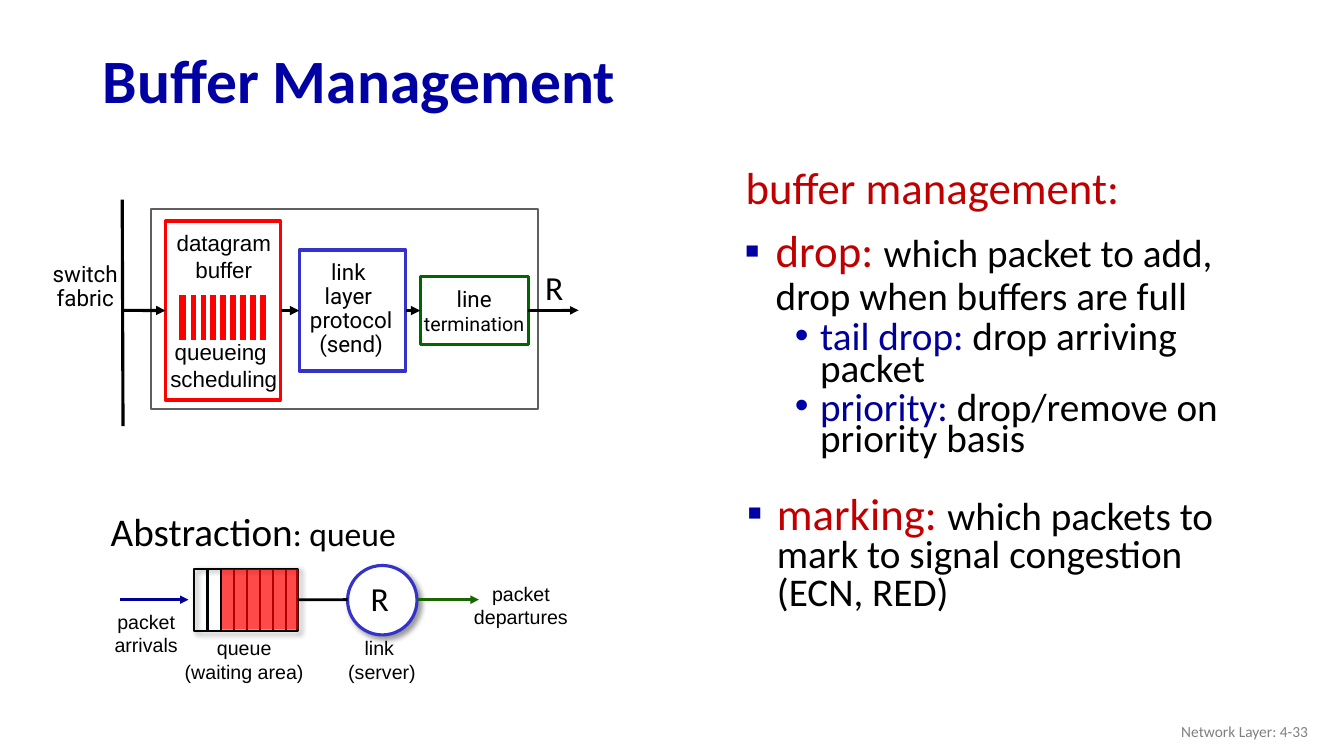
"""Build the buffer management slide with its port diagram and queue abstraction."""
from dataclasses import dataclass

from lxml.etree import SubElement
from pptx import Presentation
from pptx.dml.color import RGBColor
from pptx.enum.shapes import MSO_CONNECTOR as Connector, MSO_SHAPE as Preset
from pptx.enum.text import MSO_ANCHOR as Anchor, PP_ALIGN as Align
from pptx.oxml.ns import qn
from pptx.util import Cm, Pt

COLOURS = {
    "title": "0000A3", "term": "C00000", "text": "000000", "bullet": "0000A8",
    "navy": "000099", "blue": "3333CC", "red": "FF0000", "white": "FFFFFF",
    "frame": "5F5F5F", "green": "006600", "departure": "186600", "footer": "808080",
}
LEFT, RIGHT = 1, 3


@dataclass
class Box:
    name: str
    area: tuple
    line: str = ""
    weight: float = 2.25
    fill: str = "white"
    preset: Preset = Preset.RECTANGLE
    opacity: int = 100
    shadow: bool = False


@dataclass
class Link:
    start: tuple
    end: tuple
    colour: str = "text"
    weight: float = 2.25
    arrow: bool = False
    source: str = ""
    target: str = ""


@dataclass
class Span:
    text: str
    size: float
    font: str = "Calibri"
    colour: str = "text"
    bold: bool = False


@dataclass
class Para:
    spans: list
    align: Align = Align.LEFT
    spacing: object = None
    before: float = 0
    margin: float = 0
    indent: float = 0
    bullet: str = ""
    bullet_colour: str = "title"


@dataclass
class Label:
    area: tuple
    paras: list
    anchor: Anchor = Anchor.TOP
    wrap: bool = False


def centred(*lines: str, size: float = 14, font: str = "Arial", spacing: object = None) -> list:
    return [Para([Span(line, size, font)], Align.CENTER, spacing) for line in lines]


def colour_of(name: str) -> RGBColor:
    return RGBColor.from_string(COLOURS[name])


def add_span(para, text: str, *, size: float, font: str, colour: str, bold: bool) -> None:
    span = para.add_run()
    span.text = text
    span.font.size, span.font.name, span.font.bold = Pt(size), font, bold
    span.font.color.rgb = colour_of(colour)


def add_bullet(properties, mark: str, colour: str) -> None:
    SubElement(SubElement(properties, qn("a:buClr")), qn("a:srgbClr"), val=COLOURS[colour])
    SubElement(properties, qn("a:buFont"), typeface="Arial")
    SubElement(properties, qn("a:buChar"), char=mark)


def draw_label(page, label: Label) -> None:
    frame = page.shapes.add_textbox(*map(Cm, label.area)).text_frame
    frame.word_wrap, frame.vertical_anchor = label.wrap, label.anchor
    for index, item in enumerate(label.paras):
        para = frame.add_paragraph() if index else frame.paragraphs[0]
        para.alignment, para.space_before = item.align, Pt(item.before)
        para.line_spacing = item.spacing
        properties = para._p.get_or_add_pPr()
        properties.set("marL", str(Cm(item.margin)))
        properties.set("indent", str(Cm(item.indent)))
        if item.bullet:
            add_bullet(properties, item.bullet, item.bullet_colour)
        for span in item.spans:
            add_span(para, span.text, size=span.size, font=span.font,
                     colour=span.colour, bold=span.bold)


def add_shadow(shape) -> None:
    shadow = SubElement(shape._element.spPr.find(qn("a:effectLst")), qn("a:outerShdw"),
                        blurRad=str(Pt(4)), dist=str(Pt(3)), dir="2700000", rotWithShape="0")
    tint = SubElement(shadow, qn("a:srgbClr"), val=COLOURS["text"])
    SubElement(tint, qn("a:alpha"), val="40000")


def draw_box(page, box: Box, drawn: dict) -> None:
    shape = page.shapes.add_shape(box.preset, *map(Cm, box.area))
    drawn[box.name] = shape
    shape.shadow.inherit = False
    if box.fill:
        shape.fill.solid()
        shape.fill.fore_color.rgb = colour_of(box.fill)
    else:
        shape.fill.background()
    if box.opacity < 100:
        tint = shape._element.spPr.find(f"{qn('a:solidFill')}/{qn('a:srgbClr')}")
        SubElement(tint, qn("a:alpha"), val=str(box.opacity * 1000))
    if box.line:
        shape.line.color.rgb, shape.line.width = colour_of(box.line), Pt(box.weight)
    else:
        shape.line.fill.background()
    if box.shadow:
        add_shadow(shape)


def draw_link(page, link: Link, drawn: dict) -> None:
    line = page.shapes.add_connector(Connector.STRAIGHT, *map(Cm, link.start + link.end))
    line.line.color.rgb, line.line.width = colour_of(link.colour), Pt(link.weight)
    if link.arrow:
        SubElement(line.line._get_or_add_ln(), qn("a:tailEnd"), type="triangle")
    SubElement(line._element.spPr, qn("a:effectLst"))
    if link.source:
        line.begin_connect(drawn[link.source], RIGHT)
    if link.target:
        line.end_connect(drawn[link.target], LEFT)


ROW, QUEUE_ROW = 7.82, 15.11

PORT = [
    Box("line card", (3.81, 5.26, 9.75, 5.05), "frame", 1.5),
    Box("termination", (10.59, 6.96, 2.72, 1.73), "green"),
    Label((10.2, 6.96, 3.5, 1.73), centred("line", size=16, font="Roboto")
          + centred("termination", font="Roboto"), Anchor.MIDDLE),
    Box("protocol", (7.54, 6.3, 2.69, 3.05), "blue"),
    Label((7.1, 6.71, 3.5, 2.16), centred("link ", "layer ", "protocol", "(send)", size=16,
                                          font="Roboto", spacing=0.9), Anchor.MIDDLE),
    Label((0.4, 6.15, 3.5, 2.16), centred("switch", "fabric", size=16, font="Roboto",
                                          spacing=0.9), Anchor.MIDDLE),
    Box("buffer", (4.17, 5.57, 2.9, 4.51), "red"),
    Label((3.89, 5.66, 3.5, 1.6), centred("datagram", "buffer", size=16)),
    Label((3.89, 8.4, 3.5, 1.6), centred("queueing ", "scheduling", size=16)),
    Box("datagrams", (4.45, 7.39, 2.31, 1.22), "white", 3, "red"),
    *[Link((4.75 + 0.25 * gap, 7.42), (4.75 + 0.25 * gap, 8.59), "white", 3) for gap in range(8)],
    Link((3.08, 5.03), (3.1, 10.74)),
    Link((3.05, ROW), (4.17, ROW), arrow=True, target="buffer"),
    Link((7.07, ROW), (7.54, ROW), arrow=True, source="buffer", target="protocol"),
    Link((10.23, ROW), (10.59, ROW), arrow=True, source="protocol", target="termination"),
    Link((13.31, ROW), (14.58, ROW), weight=2, arrow=True, source="termination"),
    Label((13.49, 6.6, 0.97, 1.27), [Para([Span("R", 24)])]),
]

QUEUE = [
    Box("queue", (4.9, 14.33, 2.6, 1.57), "text", 1.5, "", shadow=True),
    *[Link((5.23 + 0.33 * slot, 14.33), (5.23 + 0.33 * slot, 15.88), weight=1.5)
      for slot in range(7)],
    Box("waiting packets", (5.59, 14.35, 1.93, 1.52), fill="red", opacity=71),
    Box("server", (8.76, 14.25, 1.75, 1.75), "blue", preset=Preset.OVAL, shadow=True),
    Link((3.02, QUEUE_ROW), (4.75, QUEUE_ROW), "navy", 2, True),
    Link((10.52, QUEUE_ROW), (12.07, QUEUE_ROW), "departure", 2, True),
    Link((7.5, QUEUE_ROW), (8.76, QUEUE_ROW), weight=2, source="queue"),
    Label((4.39, 15.9, 3.53, 1.45), centred("queue", "(waiting area)")),
    Label((2.62, 15.24, 2.13, 1.45), centred("packet", "arrivals")),
    Label((11.68, 14.53, 2.9, 1.45), centred("packet", "departures")),
    Label((8.38, 15.9, 2.36, 1.45), centred("link", " (server)")),
    Label((2.54, 12.65, 7.8, 1.45), [Para([Span("Abstraction", 28), Span(": queue", 24)])]),
    Label((9.09, 14.45, 0.97, 1.27), [Para([Span("R", 24)])]),
]

POLICIES = [("tail drop: ", "drop arriving packet"),
            ("priority: ", "drop/remove on priority basis")]

TEXT = [
    Label((2.34, 0.86, 29.21, 2.49), [Para([Span("Buffer Management", 44, colour="title",
                                                 bold=True)], spacing=0.9)], Anchor.MIDDLE, True),
    Label((18.49, 4.06, 13.79, 13.92), [
        Para([Span("buffer management:", 32, colour="term")], spacing=0.9, before=10,
             margin=0.66, indent=-0.61),
        Para([Span("drop: ", 32, colour="term"),
              Span("which packet to add, drop when buffers are full", 28)],
             spacing=0.9, before=10, margin=0.81, indent=-0.79, bullet="▪"),
        *[Para([Span(name, 28, colour="navy"), Span(action, 28)], spacing=Pt(22.8), before=5,
               margin=1.93, indent=-0.64, bullet="•", bullet_colour="bullet")
          for name, action in POLICIES]], wrap=True),
    Label((18.19, 12.37, 13.79, 3.38), [
        Para([Span("marking: ", 32, colour="term"),
              Span("which packets to mark to signal congestion (ECN, RED)", 28)],
             spacing=0.8, before=10, margin=1.14, indent=-0.76, bullet="▪")], wrap=True),
    Label((25.6, 17.91, 7.62, 1.02), [Para([Span("Network Layer: 4-33", 11, colour="footer")],
                                           Align.RIGHT)], Anchor.MIDDLE, True),
]


def main() -> None:
    deck = Presentation()
    deck.slide_width, deck.slide_height = Cm(33.87), Cm(19.05)
    page = deck.slides.add_slide(deck.slide_layouts[6])
    drawn = {}
    for item in PORT + QUEUE + TEXT:
        if isinstance(item, Box):
            draw_box(page, item, drawn)
        elif isinstance(item, Link):
            draw_link(page, item, drawn)
        else:
            draw_label(page, item)
    deck.save("out.pptx")


if __name__ == "__main__":
    main()
